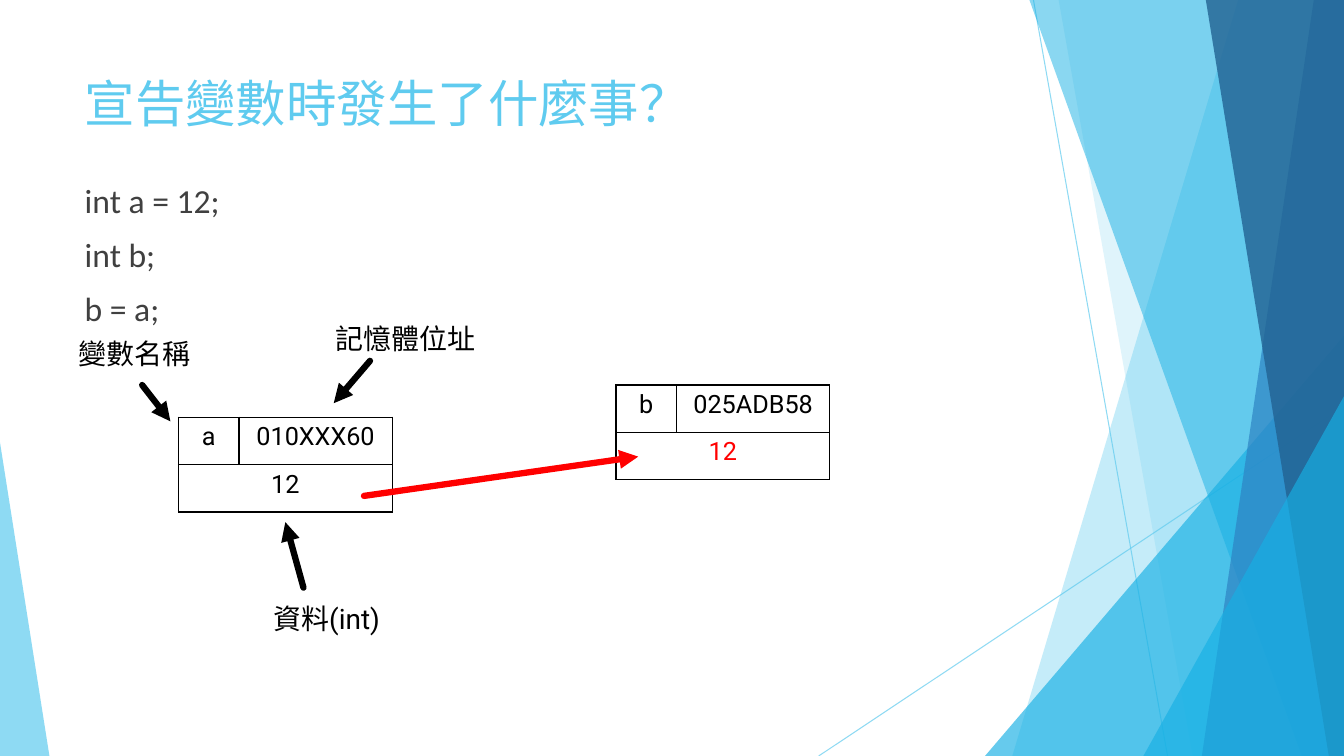
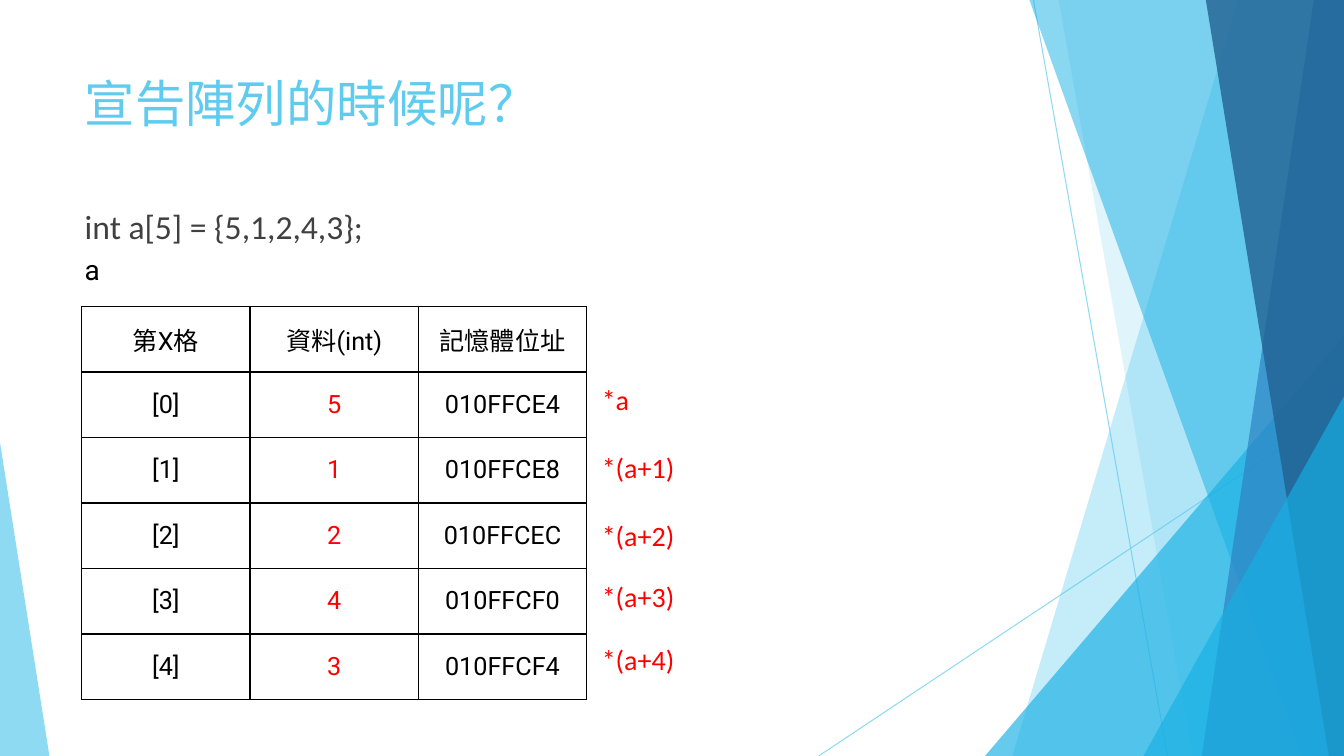
import pptx
import pptx.chart.data
import pptx.dml.color
import pptx.enum.shapes
import pptx.enum.text
import pptx.oxml
import pptx.oxml.ns
import pptx.util
import lxml.etree

Inches = pptx.util.Inches
Pt = pptx.util.Pt
ALIGN = pptx.enum.text.PP_ALIGN
ANCHOR = pptx.enum.text.MSO_ANCHOR
qn = pptx.oxml.ns.qn

WIDTH, HEIGHT = 13.33, 7.5
COLORS = {
    "sky": "5FCBEF",
    "cyan": "17B0E4",
    "blue": "2E83C3",
    "navy": "226292",
    "code": "404040",
    "black": "000000",
    "red": "FF0000",
}
SANS, CODE = "Roboto", "Calibri"
TITLE_BOX = (0.74, 0.67, 9.36, 0.94)

# Facets run from the slide's right edge to a slanted left edge:
# x at the top, x at the bottom, colour, opacity in percent
FACETS_BACK = [(12.28, 10.04, "sky", 36), (10.5, 11.83, "sky", 20)]
FACETS_FRONT = [
    (10.21, 12.91, "cyan", 50),
    (13.03, 11.92, "blue", 70),
    (11.96, 13.18, "navy", 80),
]


def rgb(color):
    return pptx.dml.color.RGBColor.from_string(COLORS[color])


def place(shape, box):
    shape.left, shape.top, shape.width, shape.height = map(Inches, box)


def set_opacity(element, percent):
    for color in element.iter(qn("a:srgbClr")):
        alpha = lxml.etree.SubElement(color, qn("a:alpha"))
        alpha.set("val", str(percent * 1000))


def write(frame, text, font=SANS, size=20, color="black", align=ALIGN.LEFT,
          space_before=0):
    """Fill a text frame, one paragraph for each line of text."""
    for index, line in enumerate(text.split("\n")):
        para = frame.add_paragraph() if index else frame.paragraphs[0]
        para.alignment = align
        para.space_before = Pt(space_before)
        span = para.add_run()
        span.text = line
        span.font.name = font
        span.font.size = Pt(size)
        span.font.color.rgb = rgb(color)


def add_line(page, start, end, color="black", width=4.5):
    line = page.shapes.add_connector(
        pptx.enum.shapes.MSO_CONNECTOR.STRAIGHT,
        *map(Inches, (*start, *end)))
    line.line.color.rgb = rgb(color)
    line.line.width = Pt(width)
    lxml.etree.SubElement(line.element.spPr, qn("a:effectLst"))
    return line


def add_arrow(page, start, end, color="black"):
    arrow = add_line(page, start, end, color)
    outline = arrow.element.spPr.find(qn("a:ln"))
    outline.set("cap", "rnd")
    lxml.etree.SubElement(outline, qn("a:tailEnd")).set("type", "triangle")


def paint(shape, color, opacity):
    shape.shadow.inherit = False
    shape.fill.solid()
    shape.fill.fore_color.rgb = rgb(color)
    shape.line.fill.background()
    set_opacity(shape.element.spPr, opacity)
    return shape


def add_facet(page, top_x, bottom_x, color, opacity):
    corners = [(WIDTH, 0), (WIDTH, HEIGHT), (bottom_x, HEIGHT)]
    builder = page.shapes.build_freeform(Inches(top_x), 0, scale=1.0)
    builder.add_line_segments(
        [(Inches(x), Inches(y)) for x, y in corners], close=True)
    return paint(builder.convert_to_shape(), color, opacity)


def add_corner(page, box, apex, color, opacity):
    triangle = page.shapes.add_shape(
        pptx.enum.shapes.MSO_SHAPE.ISOSCELES_TRIANGLE, *map(Inches, box))
    triangle.adjustments[0] = apex
    return paint(triangle, color, opacity)


def draw_backdrop(page):
    lines = [
        add_line(page, (10.25, 0), (11.58, HEIGHT), "sky", 0.75),
        add_line(page, (WIDTH, 4.03), (8.12, HEIGHT), "sky", 0.75),
    ]
    for line in lines:
        set_opacity(line.element.spPr, 70)
    return [
        *lines,
        *[add_facet(page, *facet) for facet in FACETS_BACK],
        add_corner(page, (9.77, 3.33, 3.56, 4.17), 1, "cyan", 66),
        *[add_facet(page, *facet) for facet in FACETS_FRONT],
        add_corner(page, (11.34, 3.93, 1.99, 3.57), 1, "cyan", 66),
        add_corner(page, (0, 4.39, 0.49, 3.11), 0, "sky", 70),
    ]


def move_to_layout(parts, layout):
    """Let every slide of the layout share the given shapes."""
    tree = layout.shapes.element
    for index, part in enumerate(parts):
        part.element.xpath(".//p:cNvPr")[0].set("id", str(100 + index))
        tree.insert(2 + index, part.element)


def fill_title(page, text):
    title = page.shapes.title
    place(title, TITLE_BOX)
    frame = title.text_frame
    frame.auto_size = pptx.enum.text.MSO_AUTO_SIZE.NONE
    frame.vertical_anchor = ANCHOR.TOP
    write(frame, text, size=36, color="sky")


def fill_code(page, text, box):
    body = page.placeholders[1]
    place(body, box)
    frame = body.text_frame
    frame.auto_size = pptx.enum.text.MSO_AUTO_SIZE.NONE
    frame.vertical_anchor = ANCHOR.BOTTOM
    write(frame, text, font=CODE, size=24, color="code", space_before=10)
    for para in frame.paragraphs:
        properties = para._p.get_or_add_pPr()
        properties.set("marL", "0")
        properties.set("indent", "0")
        lxml.etree.SubElement(properties, qn("a:buNone"))


def add_label(page, text, left, top, width=2.02, **style):
    label = page.shapes.add_textbox(*map(Inches, (left, top, width, 0.44)))
    label.text_frame.word_wrap = True
    write(label.text_frame, text, **style)


def add_borders(cell):
    properties = cell._tc.get_or_add_tcPr()
    for index, side in enumerate(("lnL", "lnR", "lnT", "lnB")):
        border = pptx.oxml.parse_xml(
            f'<a:{side} {pptx.oxml.ns.nsdecls("a")} w="12700">'
            f'<a:solidFill><a:srgbClr val="{COLORS["black"]}"/></a:solidFill>'
            f'</a:{side}>')
        properties.insert(index, border)


def add_grid(page, left, top, widths, row_height, rows, red_cells, anchor):
    """Draw a ruled table; red_cells holds (row, column) pairs."""
    grid = page.shapes.add_table(
        len(rows), len(widths), Inches(left), Inches(top),
        Inches(sum(widths)), Inches(row_height * len(rows))).table
    grid.first_row = grid.horz_banding = False
    for column, width in zip(grid.columns, widths):
        column.width = Inches(width)
    for r, texts in enumerate(rows):
        grid.rows[r].height = Inches(row_height)
        for c in range(len(widths)):
            cell = grid.cell(r, c)
            cell.fill.background()
            add_borders(cell)
            cell.vertical_anchor = anchor
            if c < len(texts):
                write(cell.text_frame, texts[c], size=18, align=ALIGN.CENTER,
                      color="red" if (r, c) in red_cells else "black")
        if len(texts) < len(widths):
            grid.cell(r, len(texts) - 1).merge(grid.cell(r, len(widths) - 1))


def add_variable(page, left, top, name, address, value, red_cells=()):
    """Draw one variable: name and address above its value."""
    add_grid(page, left, top, (0.6, 1.52), 0.47,
             [(name, address), (value,)], red_cells, ANCHOR.TOP)


def build_variable_slide(page):
    fill_title(page, "宣告變數時發生了什麼事？")
    fill_code(page, "int a = 12;\nint b;\nb = a;", (0.74, 1.46, 7.49, 1.85))
    add_variable(page, 1.77, 4.14, "a", "010XXX60", "12")
    add_label(page, "資料(int)", 2.61, 5.92, 1.71)
    add_arrow(page, (3.01, 5.83), (2.83, 5.18))
    add_label(page, "變數名稱", 0.68, 3.29, 1.38)
    add_arrow(page, (1.41, 3.82), (1.69, 4.18))
    add_label(page, "記憶體位址", 3.23, 3.14)
    add_arrow(page, (3.67, 3.58), (3.31, 4))
    add_variable(page, 6.11, 3.82, "b", "025ADB58", "12", {(1, 0)})
    add_arrow(page, (3.61, 4.92), (6.33, 4.53), "red")


def build_array_slide(page):
    values = ["5", "1", "2", "4", "3"]
    addresses = ["010FFCE4", "010FFCE8", "010FFCEC", "010FFCF0", "010FFCF4"]
    pointer_tops = [3.75, 4.42, 5.09, 5.7, 6.32]

    fill_title(page, "宣告陣列的時候呢？")
    fill_code(page, "int a[5] = {5,1,2,4,3};", (0.74, 1.77, 7.34, 0.72))
    add_label(page, "a", 0.74, 2.46)
    rows = [("第X格", "資料(int)", "記憶體位址")]
    for index, (value, address) in enumerate(zip(values, addresses)):
        rows.append((f"[{index}]", value, address))
    add_grid(page, 0.81, 3.04, (1.67,) * 3, 0.65, rows,
             {(r, 1) for r in range(1, len(rows))}, ANCHOR.MIDDLE)
    for index, top in enumerate(pointer_tops):
        pointer = f"*(a+{index})" if index else "*a"
        add_label(page, pointer, 5.87, top, font=CODE, color="red")


def main():
    deck = pptx.Presentation()
    deck.slide_width, deck.slide_height = Inches(WIDTH), Inches(HEIGHT)
    layout = deck.slide_layouts[1]
    pages = [deck.slides.add_slide(layout) for _ in range(2)]
    move_to_layout(draw_backdrop(pages[0]), layout)
    build_variable_slide(pages[0])
    build_array_slide(pages[1])
    deck.save("out.pptx")


if __name__ == "__main__":
    main()
